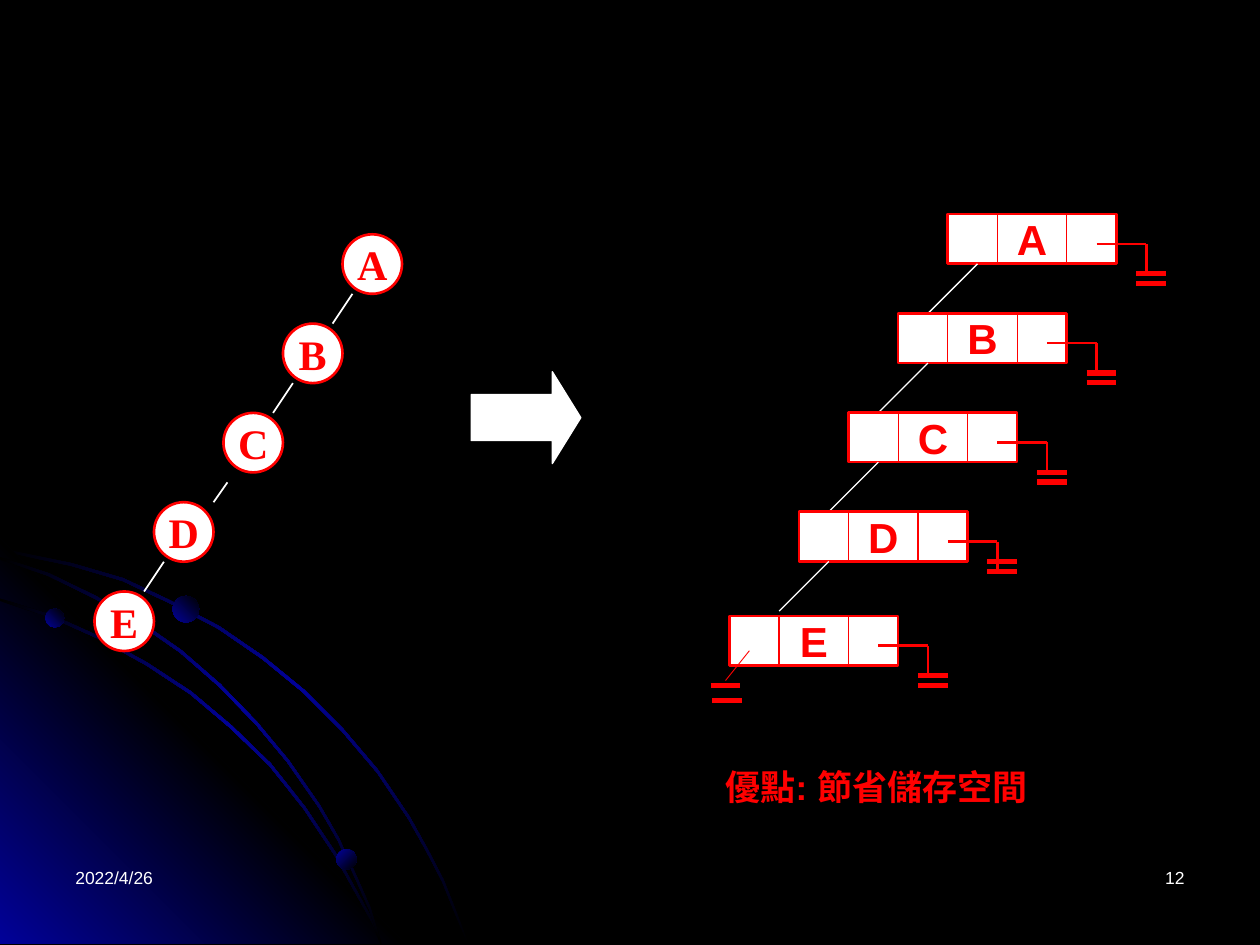
from copy import deepcopy

from pptx import Presentation, util as u
from pptx.dml.color import RGBColor
from pptx.enum import shapes, text
from pptx.oxml.xmlchemy import OxmlElement

COL = u.Inches(1)    # the slide is a grid of 10 by 7.5 columns
CELL = u.Cm(0.2)     # fine grid inside the two diagrams
RED, WHITE, BLACK, BLUE = "FF0000", "FFFFFF", "000000", "010199"
KIND = shapes.MSO_SHAPE
NAMES = "ABCDE"


def hue(code):
    return RGBColor.from_string(code)


def spot(box, x, y):
    """Point x, y fine cells from the corner of a box."""
    return round(box[0] + x * CELL), round(box[1] + y * CELL)


def write(frame, words, size, face, code, bold=False, align=text.PP_ALIGN.LEFT):
    para = frame.paragraphs[0]
    para.alignment = align
    run = para.add_run()
    run.text = words
    font = run.font
    font.size, font.name, font.bold = u.Pt(size), face, bold
    font.color.rgb = hue(code)


def blend(shape, codes, angle):
    """Evenly spaced gradient without an outline."""
    shape.shadow.inherit = False
    shape.line.fill.background()
    fill = shape.fill
    fill.gradient()
    fill.gradient_angle = angle
    stops = fill._fill._gradFill.gsLst
    for _ in codes[2:]:
        stops.append(deepcopy(stops[0]))
    for i, (stop, code) in enumerate(zip(fill.gradient_stops, codes)):
        stop.color.rgb = hue(code)
        stop.position = i / (len(codes) - 1)


def shape_at(slide, kind, box, code, edge, width):
    shape = slide.shapes.add_shape(kind, *(round(v) for v in box))
    shape.shadow.inherit = False
    shape.fill.solid()
    shape.fill.fore_color.rgb = hue(code)
    shape.line.color.rgb = hue(edge)
    shape.line.width = u.Pt(width)
    return shape


def label(shape, name, face):
    frame = shape.text_frame
    frame.word_wrap = False
    frame.vertical_anchor = text.MSO_ANCHOR.MIDDLE
    write(frame, name, 24, face, RED, True, text.PP_ALIGN.CENTER)


def stroke(slide, box, start, end, code, width):
    line = slide.shapes.add_connector(
        shapes.MSO_CONNECTOR.STRAIGHT, *spot(box, *start), *spot(box, *end))
    line.line.color.rgb = hue(code)
    line.line.width = u.Pt(width)
    line._element.spPr.append(OxmlElement("a:effectLst"))


def outline(slide, points):
    points = [(x * COL, y * COL) for x, y in points]
    pen = slide.shapes.build_freeform(*points[0])
    pen.add_line_segments(points[1:], close=True)
    return pen.convert_to_shape()


def orbit(slide, rim):
    """Thin band: the rim and its slightly shifted way back."""
    back = [(max(0, x - 0.01), min(7.49, y + 0.02)) for x, y in reversed(rim)]
    blend(outline(slide, rim + back), (BLACK, BLUE, BLACK), 315)


def backdrop(slide):
    fill = slide.background.fill
    fill.solid()
    fill.fore_color.rgb = hue(BLACK)
    orbit(slide, [(0, 4.35), (0.28, 4.41), (0.57, 4.47), (0.98, 4.59),
                  (1.36, 4.77), (1.74, 4.97), (2.09, 5.21), (2.42, 5.48),
                  (2.72, 5.78), (3, 6.11), (3.25, 6.48), (3.39, 6.73),
                  (3.52, 6.98), (3.62, 7.23), (3.72, 7.49)])
    # Corner glow
    glow = outline(slide, [(3.22, 7.49), (0, 7.49), (0, 4.27)])
    blend(glow, (BLUE, BLACK, BLUE), 45)
    orbit(slide, [(0, 4.75), (0.41, 4.88), (0.79, 5.05), (1.17, 5.26),
                  (1.52, 5.49), (1.84, 5.76), (2.15, 6.06), (2.42, 6.4),
                  (2.66, 6.76), (2.86, 7.12), (2.96, 7.3), (3.03, 7.49)])
    orbit(slide, [(0, 4.42), (0.39, 4.55), (0.76, 4.73), (1.11, 4.93),
                  (1.44, 5.16), (1.75, 5.43), (2.04, 5.73), (2.29, 6.03),
                  (2.54, 6.39), (2.69, 6.65), (2.82, 6.93), (2.94, 7.2),
                  (3.03, 7.49)])
    # Planets
    for x, y, size, angle in ((0.36, 4.83, 0.15, 45), (2.67, 6.74, 0.16, 315),
                              (1.37, 4.73, 0.21, 45)):
        box = [round(v * COL) for v in (x, y, size, size)]
        blend(slide.shapes.add_shape(KIND.OVAL, *box), (BLUE, BLACK), angle)


def tree(slide, box):
    """Skewed tree of round nodes."""
    for row, (name, col) in enumerate(zip(NAMES, (25, 19, 13, 6, 0))):
        node = spot(box, col, 9 * row)
        disc = shape_at(slide, KIND.FLOWCHART_CONNECTOR,
                        (*node, 6 * CELL, 6 * CELL), WHITE, RED, 1.5)
        label(disc, name, "Times New Roman")
        if name != "E":
            start = (0.4, 7) if name == "C" else (1, 6)
            stroke(slide, node, start, (-1, 9), WHITE, 1)


def record(slide, box, name, bars):
    """Three-field record whose right link is grounded."""
    body = shape_at(slide, KIND.RECTANGLE, (*box, 17 * CELL, 5 * CELL),
                    WHITE, RED, 1.5)
    label(body, name, "Arial")
    for x in (5, 12):
        stroke(slide, box, (x, 0), (x, 5), RED, 0.75)
    stroke(slide, box, (15, 3), (20, 3), RED, 1.5)
    stroke(slide, box, (20, 3), (20, 6), RED, 1.5)
    for y in bars:
        stroke(slide, box, (19, y), (22, y), RED, 3)


def chain(slide, box):
    """Records linked through their left fields."""
    spots = zip(NAMES, (22, 17, 12, 7, 0), (0, 10, 20, 30, 40.5))
    for name, col, row in spots:
        node = spot(box, col, row)
        record(slide, node, name, (5, 6) if name == "D" else (6, 7))
        if name != "E":
            stroke(slide, node, (3, 5), (-2, 10), WHITE, 0.75)
    # Ground of the last left link
    stroke(slide, node, (2, 3.5), (-0.4, 6.5), RED, 0.5)
    stroke(slide, node, (-1.9, 7), (1.1, 7), RED, 3)
    stroke(slide, node, (-1.75, 8.5), (1.25, 8.5), RED, 3)


def note(slide, box, words, size, code, **style):
    pane = slide.shapes.add_textbox(*(round(v * COL) for v in box))
    pane.text_frame.word_wrap = True
    write(pane.text_frame, words, size, "Arial", code, **style)


def main():
    deck = Presentation()
    deck.slide_width, deck.slide_height = 10 * COL, round(7.5 * COL)
    slide = deck.slides.add_slide(deck.slide_layouts[6])
    backdrop(slide)

    # Footer
    note(slide, (0.5, 6.83, 2.33, 0.5), "2022/4/26", 10, WHITE)
    note(slide, (7.17, 6.83, 2.33, 0.5), "12", 10, WHITE,
         align=text.PP_ALIGN.RIGHT)

    # Tree, arrow, linked records
    tree(slide, (0.75 * COL, 1.86 * COL))
    arrow = shape_at(slide, KIND.RIGHT_ARROW,
                     [v * COL for v in (3.74, 2.95, 0.87, 0.73)],
                     WHITE, WHITE, 0.75)
    arrow.adjustments[1] = 0.31
    chain(slide, (5.79 * COL, 1.7 * COL))

    # Caption
    note(slide, (5.66, 6.03, 2.61, 0.44), "優點: 節省儲存空間", 20, RED, bold=True)
    deck.save("out.pptx")


if __name__ == "__main__":
    main()
